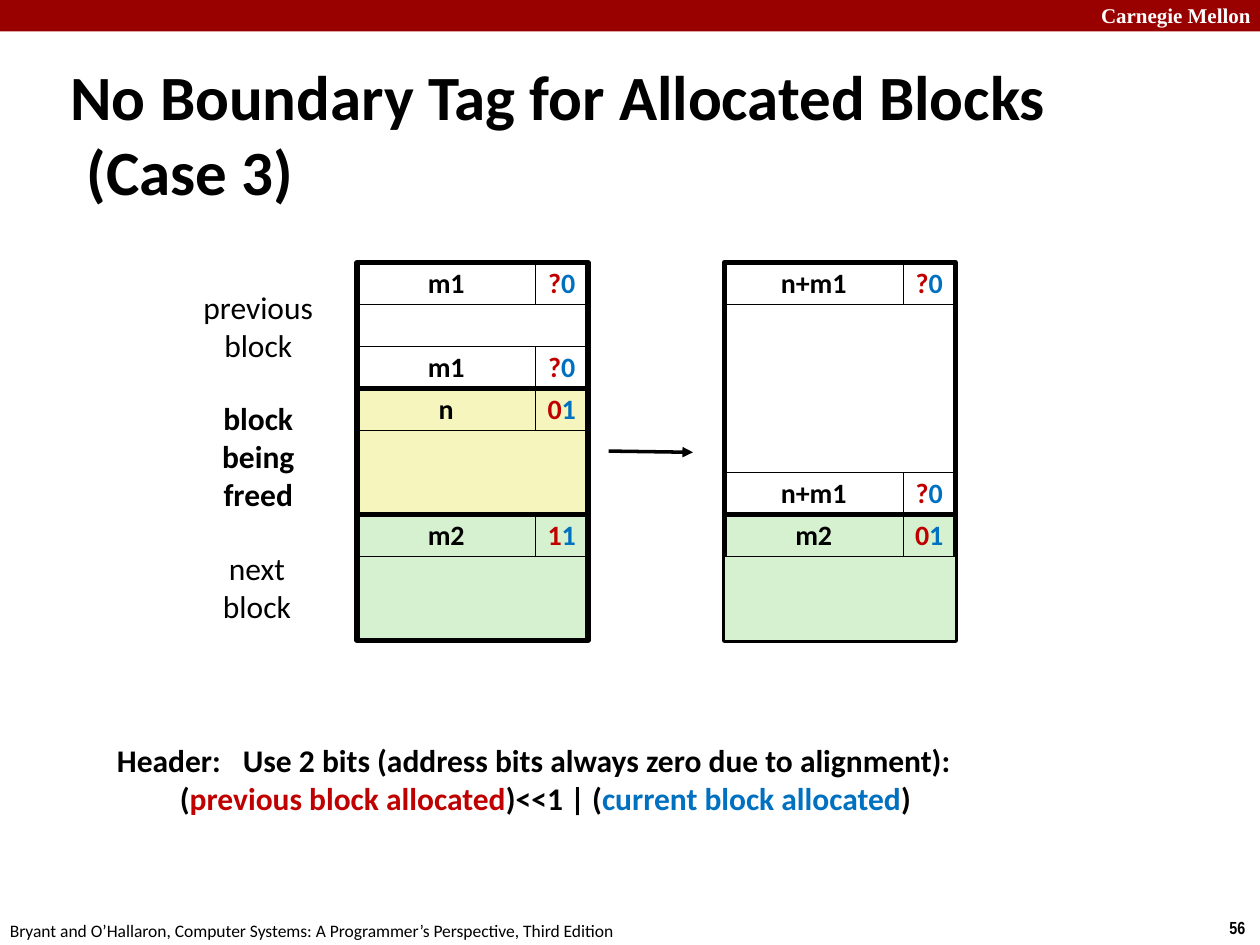
from lxml.etree import SubElement
from pptx import Presentation
from pptx.dml.color import RGBColor
from pptx.enum.shapes import MSO_CONNECTOR, MSO_SHAPE
from pptx.enum.text import MSO_ANCHOR, MSO_AUTO_SIZE, PP_ALIGN
from pptx.oxml.ns import qn
from pptx.util import Inches, Pt

BLACK, WHITE, RED, BLUE = "000000", "FFFFFF", "C00000", "0070C0"
BANNER, YELLOW, GREEN = "990000", "F6F5BD", "D5F1CF"

TITLE = "No Boundary Tag for Allocated Blocks (Case 3)"

HEAPS = [
    (34, [
        ("tag", 0, WHITE, "m1", "?0"),
        ("body", 1, WHITE, 1),
        ("tag", 2, WHITE, "m1", "?0"),
        ("frame", 0, None, 3),
        ("tag", 3, YELLOW, "n", "01"),
        ("body", 4, YELLOW, 2),
        ("frame", 3, None, 3),
        ("tag", 6, GREEN, "m2", "11"),
        ("body", 7, GREEN, 2),
        ("frame", 6, None, 3),
    ]),
    (69, [
        ("tag", 0, WHITE, "n+m1", "?0"),
        ("body", 1, WHITE, 4),
        ("tag", 5, WHITE, "n+m1", "?0"),
        ("tag", 6, GREEN, "m2", "01"),
        ("frame", 6, None, 3),
        ("frame", 0, None, 6),
        ("body", 7, GREEN, 2),
    ]),
]

LABELS = [
    (1.5, 2.24, 1.1, 0.71, ["previous", "block"], False),
    (1.66, 3.12, 0.78, 1.01, ["block", "being", "freed"], True),
    (1.66, 4.31, 0.76, 0.71, ["next", "block"], False),
]

HEADER_NOTE = [
    [("Header: \tUse 2 bits (address bits always zero due to alignment):", BLACK)],
    [("\t(", BLACK), ("previous block allocated", RED), (")<<1 | (", BLACK),
     ("current block allocated", BLUE), (")", BLACK)],
]

CITATION = "Bryant and O’Hallaron, Computer Systems: A Programmer’s Perspective, Third Edition"

UNIT = 1 / 12
ROW, SIZE_COLUMN, BITS_COLUMN, HEAP_TOP = 4, 17, 5, 25
HEAP_WIDTH = SIZE_COLUMN + BITS_COLUMN

deck = Presentation()
deck.slide_width, deck.slide_height = Inches(10), Inches(7.5)
page = deck.slides.add_slide(deck.slide_layouts[5])


def color(value):
    return RGBColor.from_string(value)


def style(font, size, bold, fill, name="Calibri"):
    font.name, font.size, font.bold = name, Pt(size), bold
    font.color.rgb = color(fill)


def write(frame, lines, size, bold, align=PP_ALIGN.LEFT, name="Calibri"):
    para = frame.paragraphs[0]
    para.alignment = align
    for number, spans in enumerate(lines):
        if number:
            para.add_line_break()
        for words, fill in spans:
            span = para.add_run()
            span.text = words
            style(span.font, size, bold, fill, name)
    return para


def text_box(left, top, width, height, lines, size, bold=False,
             align=PP_ALIGN.LEFT, name="Calibri", wrap=False):
    frame = page.shapes.add_textbox(*map(Inches, (left, top, width, height))).text_frame
    frame.word_wrap = wrap
    frame.auto_size = MSO_AUTO_SIZE.SHAPE_TO_FIT_TEXT
    write(frame, lines, size, bold, align, name)


def rectangle(left, top, width, height, fill, line_width):
    box = page.shapes.add_shape(MSO_SHAPE.RECTANGLE, *map(Inches, (left, top, width, height)))
    box.shadow.inherit = False
    if fill:
        box.fill.solid()
        box.fill.fore_color.rgb = color(fill)
    else:
        box.fill.background()
    if line_width:
        box.line.color.rgb = color(BLACK)
        box.line.width = Pt(line_width)
    else:
        box.line.fill.background()
    return box


def heap_box(column, row, columns, rows, fill, line_width=0.25):
    return rectangle(column * UNIT, (HEAP_TOP + row * ROW) * UNIT,
                     columns * UNIT, rows * ROW * UNIT, fill, line_width)


def tag_cell(column, row, columns, fill, spans):
    frame = heap_box(column, row, columns, 1, fill).text_frame
    frame.word_wrap = False
    frame.vertical_anchor = MSO_ANCHOR.MIDDLE
    write(frame, [spans], 16, True, PP_ALIGN.CENTER).line_spacing = 0.98


rectangle(0, 0, 10, 0.25, BANNER, 0)
text_box(8.64, -0.03, 1.43, 0.3, [[("Carnegie Mellon", WHITE)]], 12, True,
         name="Times New Roman", wrap=True)
text_box(9.66, 7.23, 0.34, 0.27, [[("56", BLACK)]], 10, True, name="Arial Narrow")
text_box(-0.02, 7.25, 5.08, 0.27, [[(CITATION, BLACK)]], 10)

title = page.shapes.title
title.left, title.top, title.width, title.height = map(Inches, (0.46, 0.74, 9.08, 0.63))
title.text_frame.word_wrap = True
title.text_frame.auto_size = MSO_AUTO_SIZE.NONE
title.text_frame.vertical_anchor = MSO_ANCHOR.MIDDLE
heading = write(title.text_frame, [[(TITLE, BLACK)]], 36, True)
properties = heading._p.get_or_add_pPr()
properties.set("marL", str(Inches(0.13)))
properties.set("indent", str(-Inches(0.13)))

for left, parts in HEAPS:
    for kind, row, fill, *detail in parts:
        if kind == "tag":
            size, (previous_bit, current_bit) = detail
            tag_cell(left, row, SIZE_COLUMN, fill, [(size, BLACK)])
            tag_cell(left + SIZE_COLUMN, row, BITS_COLUMN, fill,
                     [(previous_bit, RED), (current_bit, BLUE)])
        else:
            heap_box(left, row, HEAP_WIDTH, detail[0], fill, 3 if kind == "frame" else 0.25)

arrow = page.shapes.add_connector(MSO_CONNECTOR.STRAIGHT, Inches(4.83), Inches(3.58),
                                  Inches(5.5), Inches(3.59))
arrow.line.color.rgb = color(BLACK)
arrow.line.width = Pt(2)
SubElement(arrow.line._get_or_add_ln(), qn("a:tailEnd"), type="triangle")
SubElement(arrow._element.spPr, qn("a:effectLst"))

for left, top, width, height, words, bold in LABELS:
    text_box(left, top, width, height, [[(word, BLACK)] for word in words], 18, bold,
             PP_ALIGN.CENTER)

text_box(0.83, 5.83, 7.06, 0.71, HEADER_NOTE, 18, True)

deck.save("out.pptx")
